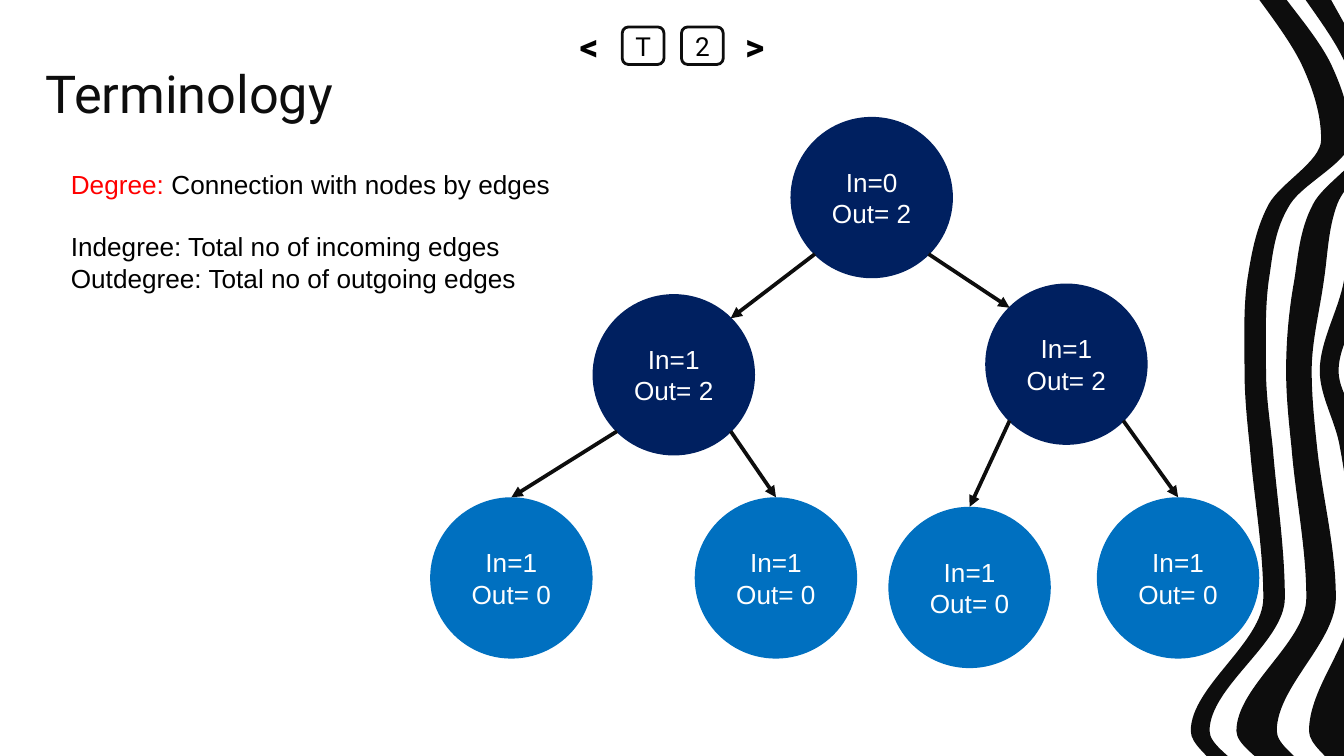
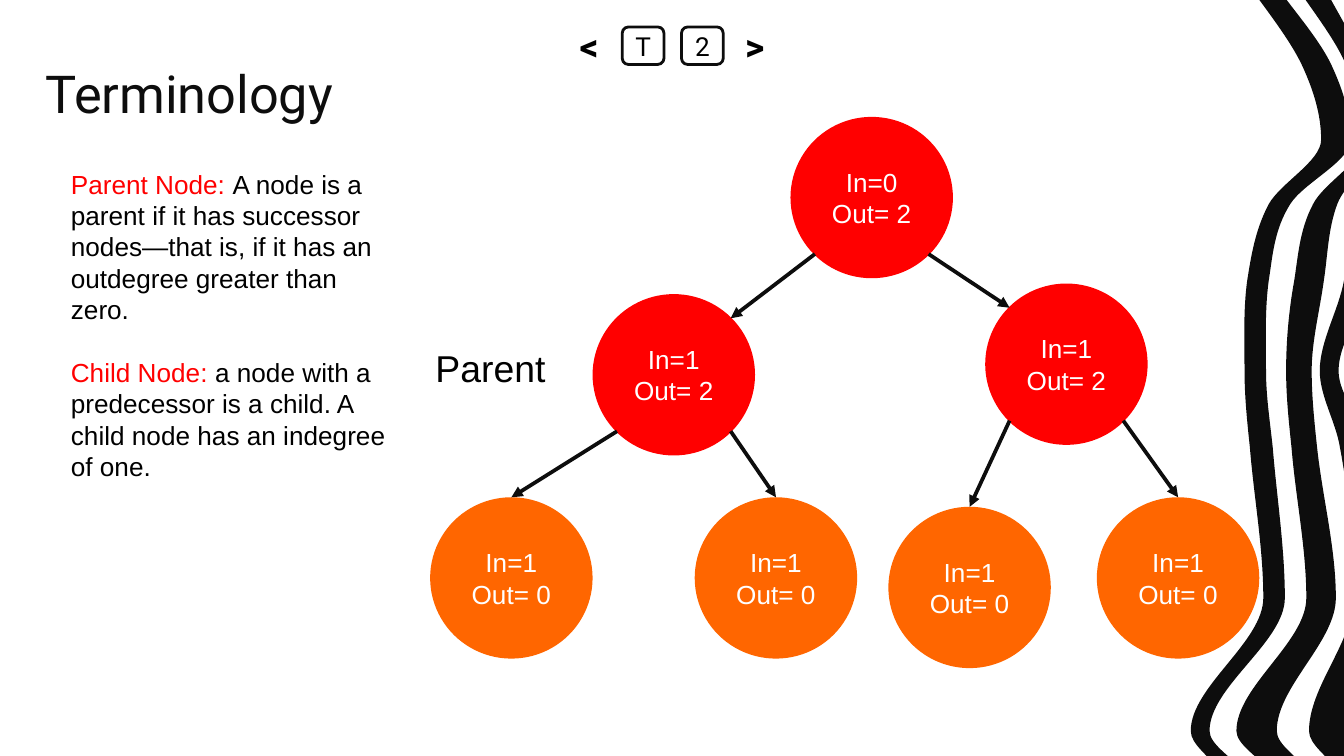
from pptx import Presentation
from pptx import util as u
from pptx.dml.color import RGBColor
from pptx.enum import shapes, text
from pptx.oxml import ns
from lxml import etree


class Theme:
    ink = RGBColor.from_string("0D0D0D")
    black = RGBColor.from_string("000000")
    white = RGBColor.from_string("FFFFFF")
    red = RGBColor.from_string("FF0000")
    orange = RGBColor.from_string("FF6600")
    navy = RGBColor.from_string("002060")
    blue = RGBColor.from_string("0070C0")
    heading_font, body_font = "Roboto", "Arial"
    title_size, label_size, body_size = u.Pt(28), u.Pt(20), u.Pt(14)
    body_gap = u.Pt(16.8)
    frame_line, arrow_line = u.Pt(1.5), u.Pt(2)


# Wave edges: left and right x at shared heights, 100 units to 2.54 cm
wave_unit = u.Cm(2.54) / 100
wave_levels = [-14, 47, 104, 152, 209, 276, 333, 445, 544, 573]
waves = [
    ([927, 968, 983, 944, 928, 926, 930, 940, 886, 907],
     [947, 990, 1005, 960, 944, 942, 947, 956, 900, 924]),
    ([962, 1001, 1015, 977, 963, 957, 961, 972, 920, 944],
     [983, 1014, 1024, 995, 985, 976, 980, 994, 950, 973]),
    ([997, 1022, 1029, 1006, 1000, 982, 997, 1007, 974, 995],
     [1015, 1030, 1034, 1020, 1019, 996, 1019, 1022, 1004, 1017]),
]

# Smooth each edge into Bezier points; an edge runs upright where it turns back
wave_edges = []
for wave in waves:
    edges = []
    for across in wave:
        spans = list(zip(wave_levels, wave_levels[1:], across, across[1:]))
        secants = [(x2 - x1) / (y2 - y1) for y1, y2, x1, x2 in spans]
        slopes = [(a + b) / 2 if a * b > 0 else 0 for a, b in zip(secants, secants[1:])]
        slopes = [secants[0], *slopes, secants[-1]]
        edge = [(across[0], wave_levels[0])]
        for (y1, y2, x1, x2), slope1, slope2 in zip(spans, slopes, slopes[1:]):
            third = (y2 - y1) / 3
            edge += [(x1 + slope1 * third, y1 + third),
                     (x2 - slope2 * third, y2 - third), (x2, y2)]
        edges.append(edge)
    wave_edges.append(edges)

# Navigation keys: label, left, framed
keys = [("2", 12.88, True), ("T", 11.76, True), ("<", 10.74, False), (">", 13.87, False)]

# Tree nodes: left, top, indegree, outdegree
node_width, node_height = 3.07, 3.05
nodes = {
    "root": (14.94, 2.21, 0, 2),
    "left": (11.2, 5.56, 1, 2),
    "right": (18.62, 5.36, 1, 2),
    "left leaf 1": (8.13, 9.4, 1, 0),
    "left leaf 2": (13.13, 9.4, 1, 0),
    "right leaf 1": (16.79, 9.58, 1, 0),
    "right leaf 2": (20.73, 9.4, 1, 0),
}
children = {
    "root": ("left", "right"),
    "left": ("left leaf 1", "left leaf 2"),
    "right": ("right leaf 1", "right leaf 2"),
}
near, far = 0.15, 0.85  # where the diagonals cut a circle, as shares of its box

# Per slide: inner node colour, leaf colour, text box size, paragraphs, side label
# A paragraph is: term, definition, whether a gap comes before it
slide_contents = [
    (Theme.navy, Theme.blue, (10.64, 2.64), [
        ("Degree: ", "Connection with nodes by edges", False),
        ("", "Indegree: Total no of incoming edges", True),
        ("", "Outdegree: Total no of outgoing edges", False),
    ], None),
    (Theme.red, Theme.orange, (6.48, 6.83), [
        ("Parent Node: ", "A node is a parent if it has successor nodes—that is, "
         "if it has an outdegree greater than zero.", False),
        ("Child Node: ", "a node with a predecessor is a child. "
         "A child node has an indegree of one.", True),
    ], "Parent"),
]


def paint(shape, fill, lines, font, size, color, bold=False):
    """Give a preset shape a flat fill and centred text."""
    shape.shadow.inherit = False
    shape.fill.solid()
    shape.fill.fore_color.rgb = fill
    shape.line.fill.background()
    shape.text_frame.text = "\n".join(lines)
    for paragraph in shape.text_frame.paragraphs:
        paragraph.alignment = text.PP_ALIGN.CENTER
        paragraph.font.name, paragraph.font.size = font, size
        paragraph.font.color.rgb, paragraph.font.bold = color, bold


def add_text(slide, left, top, width, height, content, font, size, color):
    """Add a wrapping text box; return its frame and first paragraph."""
    box = slide.shapes.add_textbox(u.Cm(left), u.Cm(top), u.Cm(width), u.Cm(height))
    frame = box.text_frame
    frame.word_wrap = True
    paragraph = frame.paragraphs[0]
    paragraph.text = content
    paragraph.font.name, paragraph.font.size = font, size
    paragraph.font.color.rgb = color
    return frame, paragraph


presentation = Presentation()
presentation.slide_width, presentation.slide_height = u.Cm(25.4), u.Cm(14.29)

for inner_color, leaf_color, body_box, definitions, side_label in slide_contents:
    slide = presentation.slides.add_slide(presentation.slide_layouts[6])

    # Wavy bands on the right
    for left_edge, right_edge in wave_edges:
        points = left_edge + right_edge[::-1]
        builder = slide.shapes.build_freeform(*points[0], scale=wave_unit)
        builder.add_line_segments(points[1:], close=True)
        band = builder.convert_to_shape()
        band.shadow.inherit = False
        band.fill.solid()
        band.fill.fore_color.rgb = Theme.ink
        band.line.fill.background()
        # Join every three segments into one curve, keeping the straight bottom edge
        segments = band._element.xpath(".//a:lnTo")
        del segments[len(left_edge) - 1]
        for first, second, third in zip(*[iter(segments)] * 3):
            first.tag = ns.qn("a:cubicBezTo")
            for segment in (second, third):
                first.append(segment[0])
                segment.getparent().remove(segment)

    # Navigation keys
    for label, left, framed in keys:
        key = slide.shapes.add_shape(shapes.MSO_SHAPE.ROUNDED_RECTANGLE,
                                     u.Cm(left), u.Cm(0.51), u.Cm(0.79), u.Cm(0.71))
        paint(key, Theme.white, [label], Theme.heading_font,
              Theme.body_size if framed else Theme.label_size, Theme.black, not framed)
        frame = key.text_frame
        frame.margin_left = frame.margin_right = frame.margin_top = frame.margin_bottom = 0
        if framed:
            key.line.color.rgb = Theme.ink
            key.line.width = Theme.frame_line

    # Title
    frame, paragraph = add_text(slide, 0.61, 1.07, 20.55, 1.6, "Terminology",
                                Theme.heading_font, Theme.title_size, Theme.ink)
    frame.margin_top = frame.margin_bottom = u.Cm(0.25)
    frame.vertical_anchor = text.MSO_ANCHOR.MIDDLE
    paragraph.line_spacing = 0.8

    # Definitions
    frame, paragraph = add_text(slide, 1.09, 3.05, *body_box, "",
                                Theme.body_font, Theme.body_size, Theme.black)
    for index, (term, definition, gap) in enumerate(definitions):
        if index:
            paragraph = frame.add_paragraph()
        paragraph.font.name, paragraph.font.size = Theme.body_font, Theme.body_size
        if gap:
            paragraph.space_before = Theme.body_gap
        for words, color in ((term, Theme.red), (definition, Theme.black)):
            if words:
                run = paragraph.add_run()
                run.text = words
                run.font.color.rgb = color

    # Tree nodes
    for left, top, indegree, outdegree in nodes.values():
        node = slide.shapes.add_shape(shapes.MSO_SHAPE.OVAL, u.Cm(left), u.Cm(top),
                                      u.Cm(node_width), u.Cm(node_height))
        paint(node, inner_color if outdegree else leaf_color,
              [f"In={indegree}", f"Out= {outdegree}"],
              Theme.body_font, Theme.body_size, Theme.white)

    # Arrows leave at a lower corner, and enter a leaf at its top
    # or an inner node at its facing upper corner
    for parent, pair in children.items():
        for child, start, end in zip(pair, (near, far), (far, near)):
            parent_left, parent_top = nodes[parent][:2]
            child_left, child_top = nodes[child][:2]
            across, down = (end, near) if child in children else (0.5, 0)
            arrow = slide.shapes.add_connector(
                shapes.MSO_CONNECTOR.STRAIGHT,
                u.Cm(parent_left + start * node_width), u.Cm(parent_top + far * node_height),
                u.Cm(child_left + across * node_width), u.Cm(child_top + down * node_height))
            arrow.line.color.rgb = Theme.ink
            arrow.line.width = Theme.arrow_line
            etree.SubElement(arrow.line._get_or_add_ln(), ns.qn("a:tailEnd"), type="triangle")
            etree.SubElement(arrow._element.spPr, ns.qn("a:effectLst"))

    # Label beside the tree
    if side_label:
        add_text(slide, 7.98, 6.4, 3.07, 1.12, side_label,
                 Theme.body_font, Theme.label_size, Theme.black)

presentation.save("out.pptx")
